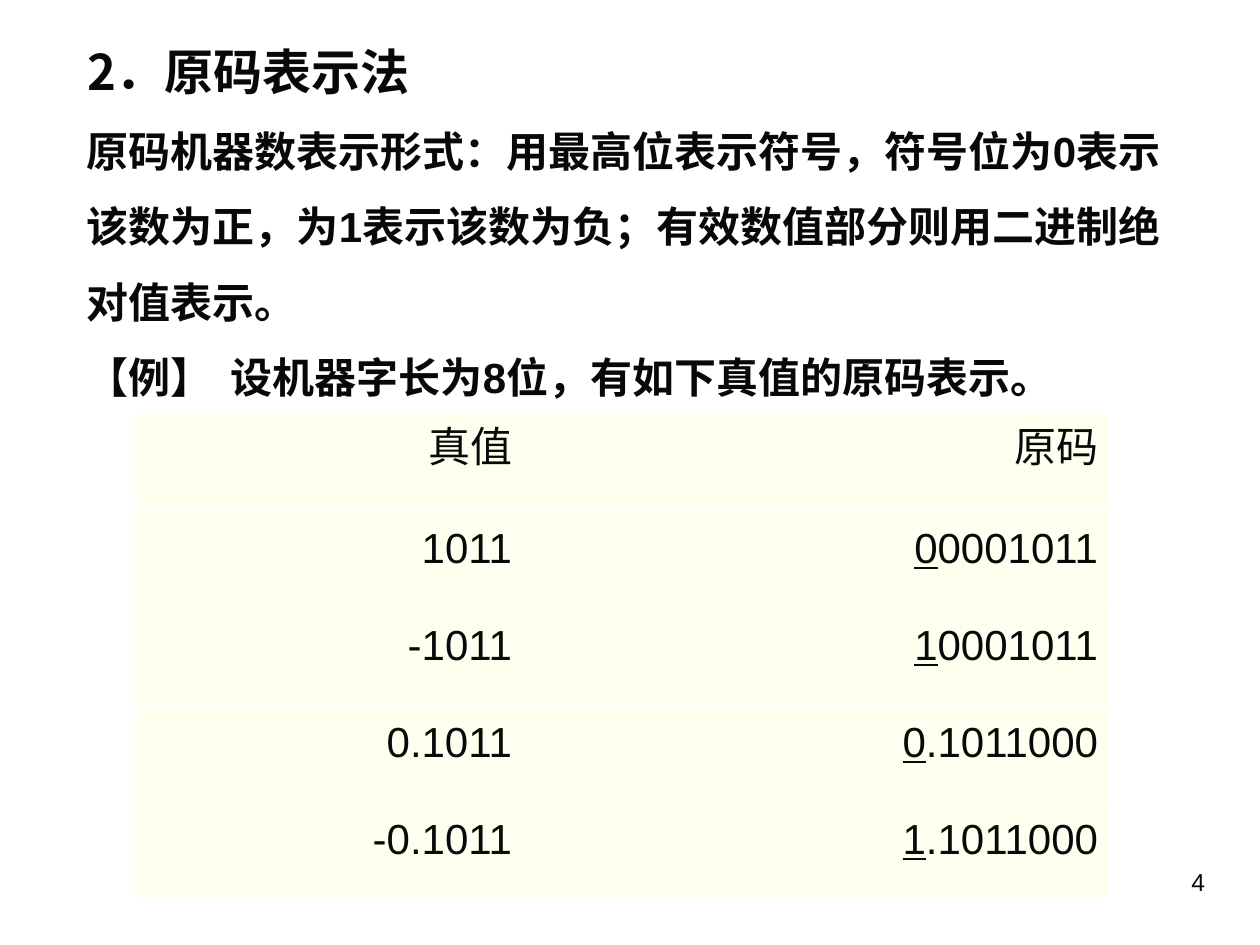
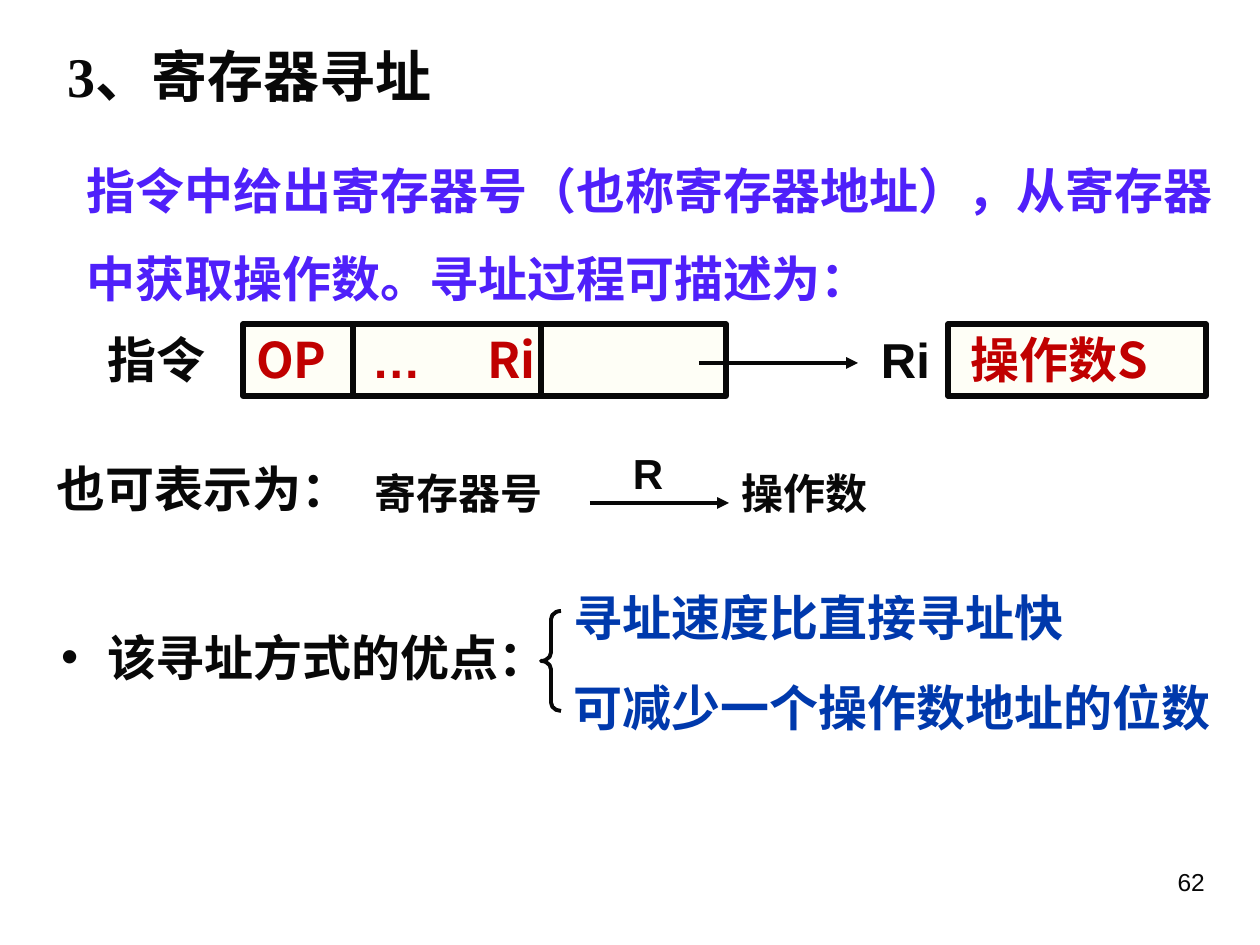
import lxml.etree
import pptx
import pptx.dml.color
import pptx.enum.shapes
import pptx.enum.text
import pptx.oxml.ns
import pptx.util

EMU_PER_PX = 914400 / 126
INK, RED, PURPLE, BLUE = "080808", "C00000", "4F20FA", "0039AC"
WHITE, IVORY, CREAM = "FFFFFF", "FEFEF6", "FFFFEF"
ARIAL, NOTO, TIMES = "Arial", "Noto Sans CJK SC", "Times New Roman"
INSET_X, INSET_Y = 13, 6
ALIGN = pptx.enum.text.PP_ALIGN
SHAPE = pptx.enum.shapes.MSO_SHAPE


def px(length):
    """Turn pixels into EMU."""
    return pptx.util.Emu(round(length * EMU_PER_PX))


def rgb(color):
    """Turn a hex string into a colour."""
    return pptx.dml.color.RGBColor.from_string(color)


def add_xml(parent, tag, **attributes):
    """Append a DrawingML element."""
    return lxml.etree.SubElement(parent, pptx.oxml.ns.qn(tag), **attributes)


def write_para(para, spans, size, font=ARIAL, color=INK, bold=True,
               align=ALIGN.LEFT, spacing=1.0, before=0):
    """Fill a paragraph with spans of one style."""
    para.text = spans[0]
    for text in spans[1:]:
        para.add_run().text = text
    para.alignment = align
    para.line_spacing = spacing
    para.space_before = pptx.util.Pt(before)
    for span in para.runs:
        span.font.size = pptx.util.Pt(size)
        span.font.name = font
        span.font.bold = bold
        span.font.color.rgb = rgb(color)


def write(shape, lines, size, before=0, wrap=True, left=INSET_X, **style):
    """Fill a shape with paragraphs, from the top."""
    frame = shape.text_frame
    frame.word_wrap = wrap
    frame.auto_size = pptx.enum.text.MSO_AUTO_SIZE.NONE
    frame.vertical_anchor = pptx.enum.text.MSO_ANCHOR.TOP
    frame.margin_left, frame.margin_right = px(left), px(INSET_X)
    frame.margin_top = frame.margin_bottom = px(INSET_Y)
    for index, line in enumerate(lines):
        para = frame.add_paragraph() if index else frame.paragraphs[0]
        spans = (line,) if isinstance(line, str) else line
        write_para(para, spans, size, before=before if index else 0, **style)
    return shape


def add_text(page, bounds, lines, size, **style):
    """Add a text box."""
    box = page.shapes.add_textbox(*map(px, bounds))
    return write(box, lines, size, **style)


def add_outline(page, kind, bounds, width, fill=None):
    """Add an outlined preset shape."""
    shape = page.shapes.add_shape(kind, *map(px, bounds))
    shape.shadow.inherit = False
    if fill:
        shape.fill.solid()
        shape.fill.fore_color.rgb = rgb(fill)
    else:
        shape.fill.background()
    shape.line.color.rgb = rgb(INK)
    shape.line.width = pptx.util.Pt(width)
    return shape


def add_line(page, start, end, width, arrow=False):
    """Add a straight line, with an arrowhead if wanted."""
    line = page.shapes.add_connector(
        pptx.enum.shapes.MSO_CONNECTOR.STRAIGHT, *map(px, start + end))
    line.line.color.rgb = rgb(INK)
    line.line.width = pptx.util.Pt(width)
    if arrow:
        add_xml(line.line._get_or_add_ln(), "a:tailEnd", type="triangle")
    add_xml(line._element.spPr, "a:effectLst")


def set_tabs(para, stops):
    """Give a paragraph left tab stops."""
    tabs = add_xml(para._p.get_or_add_pPr(), "a:tabLst")
    for stop in stops:
        add_xml(tabs, "a:tab", pos=str(px(stop)), algn="l")


def set_bullet(para, margin, hang):
    """Give a paragraph a round bullet."""
    properties = para._p.get_or_add_pPr()
    properties.set("marL", str(px(margin)))
    properties.set("indent", str(px(-hang)))
    add_xml(properties, "a:buFont", typeface=ARIAL)
    add_xml(properties, "a:buChar", char="•")


def set_borders(cell, color, width):
    """Draw the four borders of a cell."""
    properties = cell._tc.get_or_add_tcPr()
    for side in "LRTB":
        line = add_xml(properties, f"a:ln{side}", w=str(pptx.util.Pt(width)))
        add_xml(add_xml(line, "a:solidFill"), "a:srgbClr", val=color)


def add_code_table(page, left, top, widths, row_height, rows):
    """Add the table of values, with each sign bit underlined."""
    table = page.shapes.add_table(
        len(rows), len(widths), px(left), px(top),
        px(sum(widths)), px(row_height * len(rows))).table
    table.first_row = table.horz_banding = False
    for column, width in zip(table.columns, widths):
        column.width = px(width)
    for row_index, row in enumerate(rows):
        for column_index, spans in enumerate(row):
            cell = table.cell(row_index, column_index)
            set_borders(cell, WHITE, 0.45)
            cell.fill.solid()
            cell.fill.fore_color.rgb = rgb(CREAM)
            cell.vertical_anchor = pptx.enum.text.MSO_ANCHOR.MIDDLE
            cell.margin_left = cell.margin_right = px(9)
            cell.margin_top = cell.margin_bottom = px(INSET_Y)
            para = cell.text_frame.paragraphs[0]
            write_para(para, spans, 24, bold=False, align=ALIGN.RIGHT,
                       spacing=pptx.util.Pt(15.6))
            if len(spans) > 1:
                para.runs[0].font.underline = True


def add_page(deck, title, bounds, size, font, number):
    """Add a slide with its title and page number."""
    page = deck.slides.add_slide(deck.slide_layouts[5])
    heading = page.shapes.title
    heading.left, heading.top, heading.width, heading.height = map(px, bounds)
    write(heading, [title], size, font=font)
    add_text(page, (903, 861, 315, 66), [number], 14, bold=False,
             align=ALIGN.RIGHT)
    return page


def build_sign_magnitude(deck):
    """Build the slide on sign-magnitude codes."""
    page = add_page(deck, "2．原码表示法", (74, 35, 1131, 72), 28, NOTO, "4")
    body = add_text(page, (74, 94, 1131, 315), [
        "原码机器数表示形式：用最高位表示符号，符号位为0表示该数为正，"
        "为1表示该数为负；有效数值部分则用二进制绝对值表示。",
        "【例】\t设机器字长为8位，有如下真值的原码表示。",
    ], 24, spacing=1.5)
    set_tabs(body.text_frame.paragraphs[1], [144])
    add_code_table(page, 134, 413, (387, 586), 97, [
        (["真值"], ["原码"]),
        (["1011"], ["0", "0001011"]),
        (["-1011"], ["1", "0001011"]),
        (["0.1011"], ["0", ".1011000"]),
        (["-0.1011"], ["1", ".1011000"]),
    ])


def build_register_addressing(deck):
    """Build the slide on register addressing."""
    page = add_page(deck, "3、寄存器寻址", (54, 35, 504, 81), 32, TIMES, "62")
    add_text(page, (74, 125, 1186, 189), [
        "指令中给出寄存器号（也称寄存器地址），从寄存器中获取操作数。"
        "寻址过程可描述为："], 28, font=TIMES, color=PURPLE, spacing=1.5)

    top, height = 324, 72
    add_text(page, (95, top, 144, height), ["指令"], 28, font=TIMES)
    instruction = add_outline(page, SHAPE.RECTANGLE,
                              (243, top, 483, height), 3, IVORY)
    write(instruction, [("OP\t", "…", "\tRi")], 28, font=NOTO, color=RED)
    fields = instruction.text_frame.paragraphs[0]
    set_tabs(fields, [116, 231])
    fields.runs[1].font.name = ARIAL
    for divider in (353, 541):
        add_line(page, (divider, top), (divider, top + height), 3)
    add_line(page, (699, 363), (858, 363), 2.25, arrow=True)
    add_text(page, (868, top, 74, height), ["Ri"], 28, wrap=False)
    operand = add_outline(page, SHAPE.RECTANGLE,
                          (948, top, 258, height), 3, IVORY)
    write(operand, ["操作数S"], 28, left=23, font=NOTO, color=RED)

    add_text(page, (44, 452, 417, 72), ["也可表示为："], 28, font=NOTO)
    for text, left, label_top, width in (("寄存器号", 362, 462, 328),
                                         ("操作数", 729, 462, 189),
                                         ("R", 620, 442, 79)):
        add_text(page, (left, label_top, width, 63), [text], 24)
    add_line(page, (590, 503), (729, 503), 2.25, arrow=True)

    merits = add_text(page, (34, 621, 546, 72), ["该寻址方式的优点："], 28,
                      font=NOTO)
    set_bullet(merits.text_frame.paragraphs[0], 60, 46)
    add_text(page, (561, 582, 699, 161),
             ["寻址速度比直接寻址快", "可减少一个操作数地址的位数"], 28,
             before=17.5, font=NOTO, color=BLUE)
    brace = add_outline(page, SHAPE.LEFT_BRACE, (541, 611, 20, 100), 2.25)
    brace.adjustments[0] = 0.42


def main():
    """Build and save the deck."""
    deck = pptx.Presentation()
    deck.slide_width, deck.slide_height = px(1260), px(945)
    build_sign_magnitude(deck)
    build_register_addressing(deck)
    deck.save("out.pptx")


if __name__ == "__main__":
    main()
